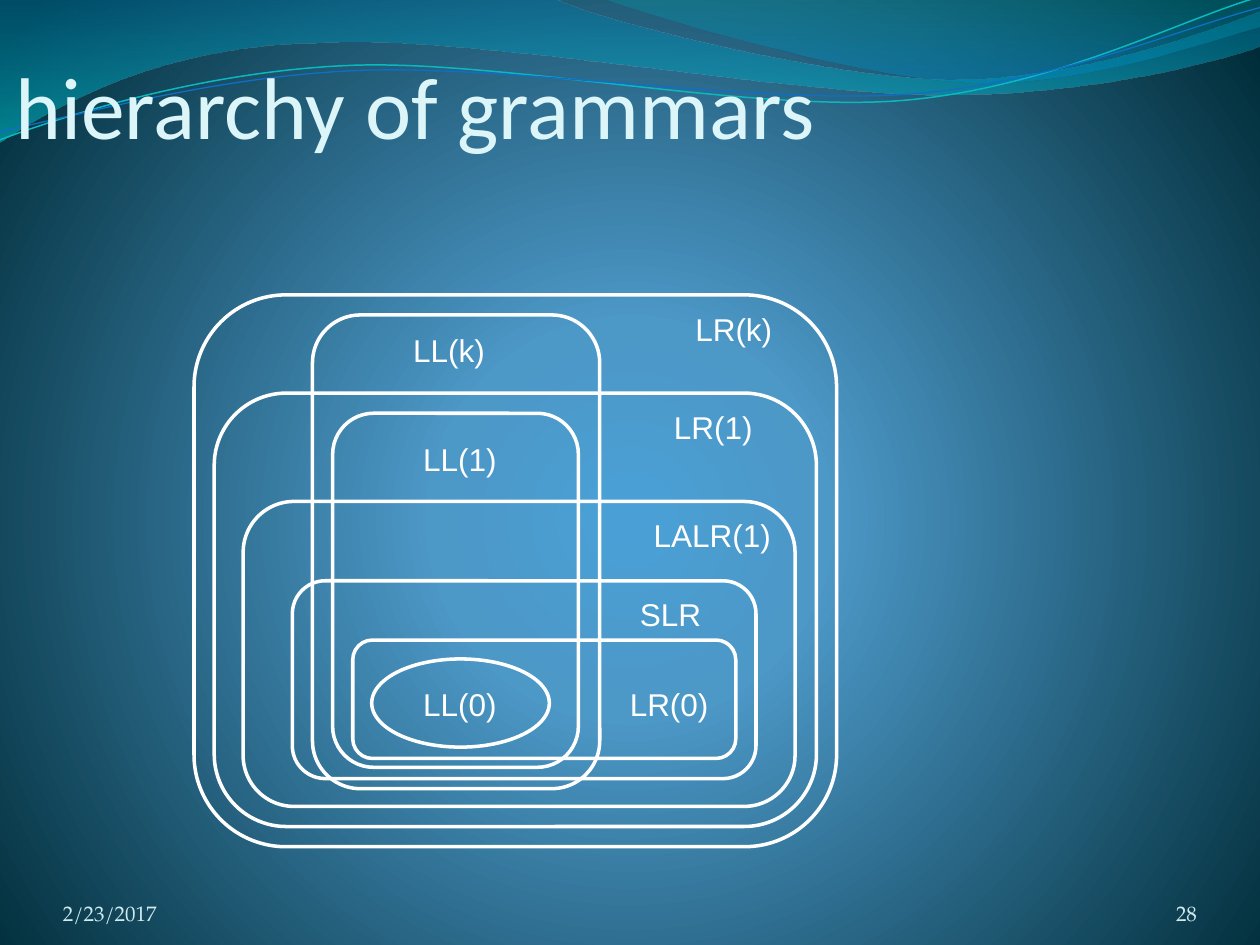
"""Build a slide with a nested diagram of grammar classes."""
from math import cos, radians, sin
from lxml.etree import SubElement
from pptx import Presentation
from pptx.dml.color import RGBColor
from pptx.enum.shapes import MSO_SHAPE as Shape
from pptx.enum.text import MSO_ANCHOR as Anchor, MSO_AUTO_SIZE as Auto, PP_ALIGN as Align
from pptx.oxml.ns import qn
from pptx.util import Inches, Pt

WHITE, PALE, MIST = "FFFFFF", "DBF5F9", "D1EAEE"
BACK = [(0, "4AA0D6", 100), (25, "4C98C7", 100), (100, "002C38", 100)]
FOCUS = {"l": 10, "t": 110, "r": 10, "b": 100}
TILT = 2.7
BANDS = [
    ((-0.01, -0.01, 10.02, 1.14),
     [(0, -0.01), (4.4, -0.01),
      (4.76, 0.17, 6.64, 0.63, 7.58, 0.63), (8.53, 0.63, 9.58, 0.26, 10, 0.09),
      (10.01, 0.36),
      (9.83, 0.44, 8.7, 0.76, 7.46, 0.75), (6.22, 0.75, 3.82, 0.28, 2.57, 0.34),
      (1.29, 0.35, 0.46, 0.83, -0.01, 1.13), (0, -0.01)],
     [(0, "0074A1", 45), (100, "00C6CF", 55)]),
    ((4.79, -0.01, 5.21, 0.7),
     [(4.79, -0.01),
      (5.09, 0.11, 6.82, 0.62, 7.69, 0.65), (8.56, 0.69, 9.61, 0.32, 10, 0.21),
      (10, 0), (4.79, -0.01)],
     [(0, "00A1A9", 30), (80, "008BBF", 45)]),
]
WAVES = [
    ((-0.02, 0.22, 10.02, 0.71),
     [(0, 1.11), (0.48, 0.93, 1.58, 0.57, 2.77, 0.52),
      (3.95, 0.47, 5.93, 0.89, 7.13, 0.8), (8.33, 0.71, 9.38, 0.15, 9.98, -0.02)],
     "0AB8BF", 0.85),
    ((-0.02, 0.3, 10.03, 0.58),
     [(0, 1.04), (0.47, 0.96, 1.64, 0.61, 2.83, 0.56),
      (4.03, 0.51, 5.97, 0.83, 7.17, 0.75), (8.36, 0.67, 9.41, 0.21, 10, 0.06)],
     "0F6FC6", 0.75),
]
CLASSES = [
    ("LL(0)", (3.26, 5.39, 0.79), Shape.OVAL, (2.95, 5.23, 1.41, 0.7)),
    ("LL(1)", (3.26, 3.44, 0.79), Shape.ROUNDED_RECTANGLE, (2.64, 3.28, 1.95, 2.81)),
    ("LL(k)", (3.18, 2.58, 0.79), Shape.ROUNDED_RECTANGLE, (2.48, 2.5, 2.28, 3.76)),
    ("LR(0)", (4.9, 5.39, 0.83), Shape.ROUNDED_RECTANGLE, (2.8, 5.08, 3.04, 0.94)),
    ("SLR", (4.98, 4.67, 0.69), Shape.ROUNDED_RECTANGLE, (2.32, 4.61, 3.68, 1.57)),
    ("LALR(1)", (5.09, 4.05, 1.14), Shape.ROUNDED_RECTANGLE, (1.93, 3.98, 4.38, 2.42)),
    ("LR(1)", (5.25, 3.19, 0.83), Shape.ROUNDED_RECTANGLE, (1.7, 3.12, 4.78, 3.44)),
    ("LR(k)", (5.42, 2.41, 0.83), Shape.ROUNDED_RECTANGLE, (1.54, 2.34, 5.1, 4.38)),
]
FOOTER = [("2/23/2017", (0.5, 6.95, 2.33, 0.4), Align.LEFT),
          ("28", (8.67, 6.95, 0.83, 0.4), Align.RIGHT)]


def color(code):
    return RGBColor.from_string(code)


def place(item, area):
    item.left, item.top, item.width, item.height = map(Inches, area)


def blend(fill, stops, focus=None):
    fill.gradient()
    grad = fill._fill._gradFill
    for part in list(grad):
        grad.remove(part)
    track = SubElement(grad, qn("a:gsLst"))
    for pos, code, alpha in stops:
        stop = SubElement(track, qn("a:gs"), pos=str(pos * 1000))
        tint = SubElement(stop, qn("a:srgbClr"), val=code)
        if alpha < 100:
            SubElement(tint, qn("a:alpha"), val=str(alpha * 1000))
    if focus:
        path = SubElement(grad, qn("a:path"), path="circle")
        SubElement(path, qn("a:fillToRect"), {k: str(v * 1000) for k, v in focus.items()})
    else:
        SubElement(grad, qn("a:lin"), ang="5400000", scaled="1")


def turn(steps, area, angle):
    left, top, width, height = area
    mid, level = left + width / 2, top + height / 2
    c, s = cos(radians(angle)), sin(radians(angle))
    return [[v for x, y in zip(step[::2], step[1::2])
             for v in (mid + (x - mid) * c - (y - level) * s,
                       level + (x - mid) * s + (y - level) * c)]
            for step in steps]


def draw(shapes, area, steps, close):
    ends = [tuple(map(Inches, step[-2:])) for step in steps]
    pen = shapes.build_freeform(*ends[0])
    pen.add_line_segments(ends[1:], close=close)
    form = pen.convert_to_shape()
    form.shadow.inherit = False
    place(form, area)
    path = form._element.find(".//" + qn("a:path"))
    for part in list(path):
        path.remove(part)
    path.set("w", str(form.width))
    path.set("h", str(form.height))
    for i, step in enumerate(steps):
        tag = "a:moveTo" if i == 0 else "a:lnTo" if len(step) == 2 else "a:cubicBezTo"
        move = SubElement(path, qn(tag))
        for x, y in zip(step[::2], step[1::2]):
            SubElement(move, qn("a:pt"), x=str(Inches(x) - form.left), y=str(Inches(y) - form.top))
    if close:
        SubElement(path, qn("a:close"))
    return form


def outline(form, code, width):
    form.shadow.inherit = False
    form.fill.background()
    form.line.color.rgb = color(code)
    form.line.width = Pt(width)


def write(box, text, face, size, code, align=Align.LEFT, anchor=Anchor.TOP, inset=None):
    frame = box.text_frame
    frame.text = text
    frame.vertical_anchor = anchor
    if inset:
        (frame.margin_left, frame.margin_top,
         frame.margin_right, frame.margin_bottom) = map(Inches, inset)
    para = frame.paragraphs[0]
    para.alignment = align
    font = para.runs[0].font
    font.name, font.size, font.color.rgb = face, Pt(size), color(code)
    return frame


def main():
    deck = Presentation()
    deck.slide_width, deck.slide_height = Inches(10), Inches(7.5)
    slide = deck.slides.add_slide(deck.slide_layouts[5])
    shapes = slide.shapes
    blend(slide.background.fill, BACK, FOCUS)

    for area, steps, stops in BANDS:
        band = draw(shapes, area, steps, True)
        blend(band.fill, stops)
        band.line.fill.background()
    for area, steps, code, width in WAVES:
        wave = draw(shapes, area, turn(steps, area, TILT), False)
        wave.rotation = 360 - TILT
        outline(wave, code, width)

    title = shapes.title
    place(title, (0.12, 0.18, 9.08, 1.25))
    frame = write(title, "hierarchy of grammars", "Calibri", 50, PALE,
                  anchor=Anchor.MIDDLE, inset=(0, 0.05, 0, 0))
    frame.auto_size = Auto.NONE
    shapes._spTree.append(title._element)

    for text, area, align in FOOTER:
        box = shapes.add_textbox(*map(Inches, area))
        frame = write(box, text, "TeX Gyre Pagella", 12, MIST, align, Anchor.BOTTOM, (0, 0, 0, 0))
        frame.word_wrap = True

    for text, (left, top, width), kind, area in CLASSES:
        box = shapes.add_textbox(*map(Inches, (left, top, width, 0.4)))
        frame = write(box, text, "Arial", 18, WHITE)
        frame.word_wrap, frame.auto_size = False, Auto.SHAPE_TO_FIT_TEXT
        outline(shapes.add_shape(kind, *map(Inches, area)), WHITE, 2)

    deck.save("out.pptx")


if __name__ == "__main__":
    main()
